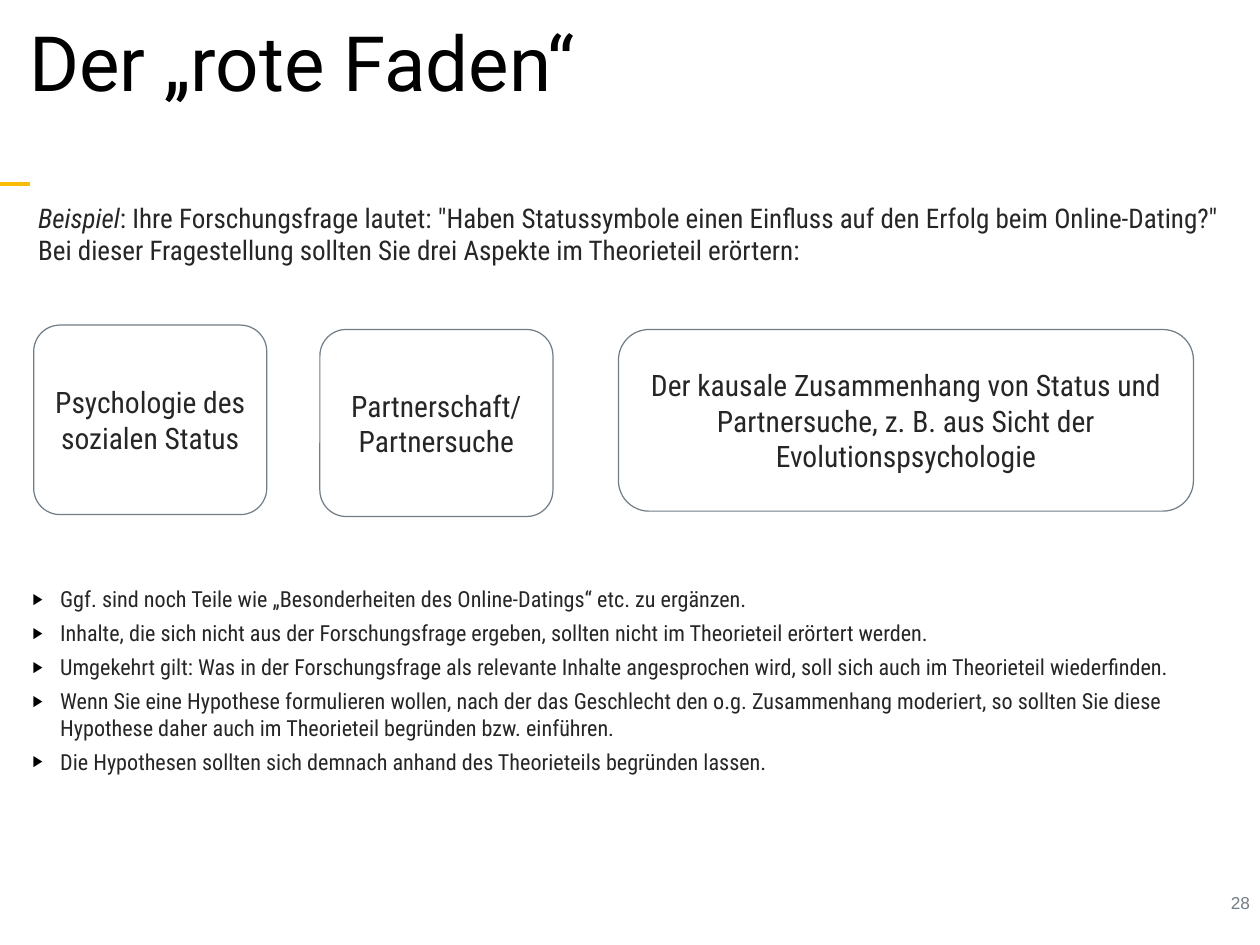
from lxml.etree import SubElement
from pptx import Presentation
from pptx.dml.color import RGBColor
from pptx.enum.shapes import MSO_CONNECTOR as Connector, MSO_SHAPE as Shape
from pptx.enum.text import MSO_ANCHOR as Anchor, MSO_AUTO_SIZE as AutoSize, PP_ALIGN as Align
from pptx.oxml.ns import qn
from pptx.util import Pt

TITLE = "Der „rote Faden“"
INTRO = [
    [("Beispiel", True),
     (': Ihre Forschungsfrage lautet: "Haben Statussymbole einen Einfluss auf den Erfolg beim Online-Dating?"', False)],
    [("Bei dieser Fragestellung sollten Sie drei Aspekte im Theorieteil erörtern:", False)],
]
ASPECTS = [
    ("Psychologie des sozialen Status", (27.4, 264.2, 189.4, 154), 21.4),
    ("Partnerschaft/ Partnersuche", (260, 267.8, 189.4, 152), 21.4),
    ("Der kausale Zusammenhang von Status und Partnersuche, z. B. aus Sicht der Evolutionspsychologie",
     (502.6, 267.8, 467.3, 147.6), 24.8),
]
NOTES = [
    "Ggf. sind noch Teile wie „Besonderheiten des Online-Datings“ etc. zu ergänzen.",
    "Inhalte, die sich nicht aus der Forschungsfrage ergeben, sollten nicht im Theorieteil erörtert werden.",
    "Umgekehrt gilt: Was in der Forschungsfrage als relevante Inhalte angesprochen wird, soll sich auch im "
    "Theorieteil wiederfinden.",
    "Wenn Sie eine Hypothese formulieren wollen, nach der das Geschlecht den o.g. Zusammenhang moderiert, "
    "so sollten Sie diese Hypothese daher auch im Theorieteil begründen bzw. einführen.",
    "Die Hypothesen sollten sich demnach anhand des Theorieteils begründen lassen.",
]
PAGE_NUMBER = "28"

COLORS = {"accent": "F7BC05", "title": "000000", "text": "262626", "gray": "717D87", "white": "FFFFFF"}
CONDENSED = "Roboto Condensed"


def color(name):
    return RGBColor.from_string(COLORS[name])


def assign(target, values):
    for name, value in values.items():
        setattr(target, name, value)


def place(shape, left, top, width, height):
    assign(shape, {"left": Pt(left), "top": Pt(top), "width": Pt(width), "height": Pt(height)})


def set_frame(frame, inset=5, **values):
    sides = dict.fromkeys(("margin_left", "margin_top", "margin_right", "margin_bottom"), Pt(inset))
    assign(frame, {"word_wrap": True, "auto_size": AutoSize.NONE, "vertical_anchor": Anchor.TOP} | sides | values)


def add_span(para, text, size, font=CONDENSED, tint="text", italic=False):
    span = para.add_run()
    span.text = text
    assign(span.font, {"size": Pt(size), "name": font, "italic": italic})
    span.font.color.rgb = color(tint)


def add_para(frame, index):
    return frame.add_paragraph() if index else frame.paragraphs[0]


def set_indent(para, left, first):
    properties = para._p.get_or_add_pPr()
    properties.set("marL", str(Pt(left)))
    properties.set("indent", str(Pt(first)))
    return properties


def add_bullet(para):
    properties = set_indent(para, 22.3, -22.3)
    tint = SubElement(properties, qn("a:buClr"))
    SubElement(tint, qn("a:srgbClr")).set("val", COLORS["title"])
    SubElement(properties, qn("a:buSzPct")).set("val", "70000")
    SubElement(properties, qn("a:buChar")).set("char", "▶")


deck = Presentation()
assign(deck, {"slide_width": Pt(1024), "slide_height": Pt(768)})
page = deck.slides.add_slide(deck.slide_layouts[1])
title, body = page.placeholders[0], page.placeholders[1]

accent = page.shapes.add_connector(Connector.STRAIGHT, Pt(0), Pt(149.8), Pt(24.5), Pt(149.8))
accent.line.color.rgb = color("accent")
accent.line.width = Pt(3)
SubElement(accent._element.spPr, qn("a:effectLst"))

place(title, 0, -1.4, 1024, 111.6)
set_frame(title.text_frame, inset=3.6, vertical_anchor=Anchor.MIDDLE)
heading = title.text_frame.paragraphs[0]
assign(heading, {"alignment": Align.LEFT, "line_spacing": 0.9})
set_indent(heading, 10, 10)
add_span(heading, TITLE, 62, "Roboto", "title")

intro = page.shapes.add_textbox(Pt(26), Pt(158.4), Pt(972.7), Pt(60.5))
set_frame(intro.text_frame, word_wrap=False)
for index, spans in enumerate(INTRO):
    para = add_para(intro.text_frame, index)
    for text, italic in spans:
        add_span(para, text, 22, italic=italic)

for text, (left, top, width, height), radius in ASPECTS:
    box = page.shapes.add_shape(Shape.ROUNDED_RECTANGLE, Pt(left), Pt(top), Pt(width), Pt(height))
    box.adjustments[0] = radius / min(width, height)
    box.shadow.inherit = False
    box.fill.solid()
    box.fill.fore_color.rgb = color("white")
    box.line.color.rgb = color("gray")
    box.line.width = Pt(1)
    set_frame(box.text_frame, vertical_anchor=Anchor.MIDDLE)
    para = box.text_frame.paragraphs[0]
    para.alignment = Align.CENTER
    add_span(para, text, 24)

place(body, 21.6, 470.9, 956.9, 160.6)
set_frame(body.text_frame)
for index, text in enumerate(NOTES):
    para = add_para(body.text_frame, index)
    para.space_before = Pt(6)
    add_bullet(para)
    add_span(para, text, 18)

number = page.shapes.add_textbox(Pt(850.3), Pt(720), Pt(170.6), Pt(26))
set_frame(number.text_frame)
para = number.text_frame.paragraphs[0]
para.alignment = Align.RIGHT
add_span(para, PAGE_NUMBER, 14, "Arial", "gray")

deck.save("out.pptx")
